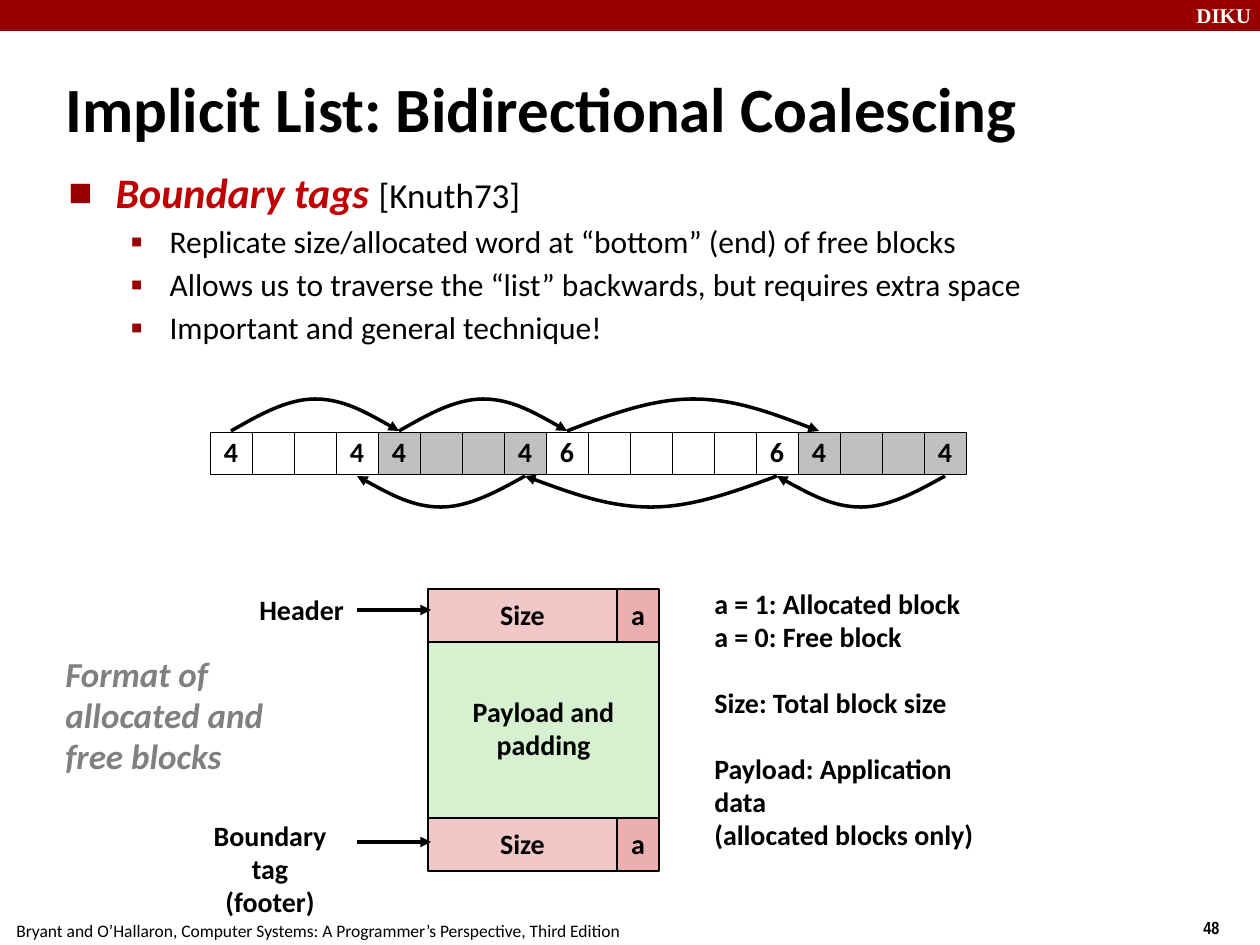
from lxml import etree
from pptx import Presentation
from pptx.dml.color import RGBColor
from pptx.enum.shapes import MSO_CONNECTOR, MSO_SHAPE
from pptx.enum.text import MSO_ANCHOR, MSO_AUTO_SIZE, PP_ALIGN
from pptx.oxml.ns import qn
from pptx.util import Pt

SCALE = 914400 / 126
STRAIGHT = MSO_CONNECTOR.STRAIGHT
RECTANGLE = MSO_SHAPE.RECTANGLE
MIDDLE, TOP = MSO_ANCHOR.MIDDLE, MSO_ANCHOR.TOP
NO_FIT = MSO_AUTO_SIZE.NONE
LEFT, CENTER = PP_ALIGN.LEFT, PP_ALIGN.CENTER

BLACK = RGBColor(0x00, 0x00, 0x00)
WHITE = RGBColor(0xFF, 0xFF, 0xFF)
DARK_RED = RGBColor(0x99, 0x00, 0x00)
TERM_RED = RGBColor(0xC0, 0x00, 0x00)
GRAY = RGBColor(0x80, 0x80, 0x80)
CELL_GRAY = RGBColor(0xC0, 0xC0, 0xC0)
SIZE_PINK = RGBColor(0xF1, 0xC7, 0xC7)
FLAG_PINK = RGBColor(0xEB, 0xAF, 0xAF)
PAYLOAD_GREEN = RGBColor(0xD5, 0xF1, 0xCF)

CELL = 42


def px(length):
    return round(length * SCALE)


def format_run(run, size, color=BLACK, bold=True, italic=False, font="Calibri"):
    run.font.name = font
    run.font.size = Pt(size)
    run.font.bold = bold
    run.font.italic = italic
    run.font.color.rgb = color


def write(shape, text, size=16, align=LEFT, spacing=0.98, **style):
    shape.text_frame.text = text
    for paragraph in shape.text_frame.paragraphs:
        paragraph.alignment = align
        paragraph.line_spacing = spacing
        for run in paragraph.runs:
            format_run(run, size, **style)


def add_label(slide, box, text, **style):
    label = slide.shapes.add_textbox(*map(px, box))
    label.text_frame.word_wrap = False
    write(label, text, **style)
    return label


def add_box(slide, box, fill, text="", line_width=1):
    shape = slide.shapes.add_shape(RECTANGLE, *map(px, box))
    shape.shadow.inherit = False
    shape.fill.solid()
    shape.fill.fore_color.rgb = fill
    if line_width:
        shape.line.color.rgb = BLACK
        shape.line.width = Pt(line_width)
    else:
        shape.line.fill.background()
    if text:
        shape.text_frame.word_wrap = False
        shape.text_frame.vertical_anchor = MIDDLE
        write(shape, text, align=CENTER)


def make_arrow(shape):
    shape.line.color.rgb = BLACK
    shape.line.width = Pt(2)
    line = shape.line._get_or_add_ln()
    etree.SubElement(line, qn("a:tailEnd"), type="triangle")


def add_pointer(slide, left, right, y):
    pointer = slide.shapes.add_connector(STRAIGHT, px(left), px(y), px(right), px(y))
    make_arrow(pointer)
    etree.SubElement(pointer._element.spPr, qn("a:effectLst"))


def add_arc(slide, start, end, base, peak):
    """Draw two Bezier halves that meet at the peak."""
    half_height = (base + peak) / 2
    heights = [half_height, peak, peak, peak, half_height, base]
    points = [(px(start + (end - start) * step / 6), px(y))
              for step, y in enumerate(heights, 1)]
    builder = slide.shapes.build_freeform(px(start), px(base))
    builder.add_line_segments(points, close=False)
    arc = builder.convert_to_shape()
    arc.shadow.inherit = False
    arc.fill.background()
    make_arrow(arc)
    # Each three line points become one cubic curve
    segments = list(arc._element.iter(qn("a:lnTo")))
    outline = segments[0].getparent()
    for first in (0, 3):
        curve = etree.SubElement(outline, qn("a:cubicBezTo"))
        for segment in segments[first:first + 3]:
            curve.append(segment[0])
            outline.remove(segment)


def set_bullet(paragraph, character, percent, margin, indent):
    properties = paragraph._p.get_or_add_pPr()
    properties.set("marL", str(px(margin)))
    properties.set("indent", str(px(-indent)))
    color = etree.SubElement(properties, qn("a:buClr"))
    etree.SubElement(color, qn("a:srgbClr"), val=str(DARK_RED))
    etree.SubElement(properties, qn("a:buSzPct"), val=str(percent * 1000))
    etree.SubElement(properties, qn("a:buFont"), typeface="Calibri")
    etree.SubElement(properties, qn("a:buChar"), char=character)


def place(placeholder, box, anchor):
    placeholder.left, placeholder.top, placeholder.width, placeholder.height = map(px, box)
    placeholder.text_frame.auto_size = NO_FIT
    placeholder.text_frame.vertical_anchor = anchor


def add_frame(slide, width, height):
    # Top band, page number and source line
    add_box(slide, (0, 0, width, 31), DARK_RED, line_width=0)
    add_label(slide, (width - 76, -4, 84, 38), "DIKU", size=12, color=WHITE,
              font="Times New Roman", spacing=1)
    add_label(slide, (width - 69, height - 34, 94, 36), "48", size=10,
              font="Arial Narrow", spacing=1)
    add_label(slide, (4, height - 31, 629, 34),
              "Bryant and O’Hallaron, Computer Systems: "
              "A Programmer’s Perspective, Third Edition",
              size=10, bold=False, spacing=1)


def fill_title(title, box):
    place(title, box, MIDDLE)
    write(title, "Implicit List: Bidirectional Coalescing", size=36, spacing=1)


def fill_body(body, box):
    place(body, box, TOP)
    frame = body.text_frame
    heading = frame.paragraphs[0]
    heading.line_spacing = 0.83
    heading.space_before = Pt(12.5)
    term, citation = heading.add_run(), heading.add_run()
    term.text, citation.text = "Boundary tags ", "[Knuth73]"
    format_run(term, 24, TERM_RED, italic=True)
    format_run(citation, 20, bold=False)
    set_bullet(heading, "■", 60, 48, 47)
    for text in ("Replicate size/allocated word at “bottom” (end) of free blocks",
                 "Allows us to traverse the “list” backwards, but requires extra space",
                 "Important and general technique!"):
        paragraph = frame.add_paragraph()
        paragraph.text = text
        paragraph.level = 1
        paragraph.line_spacing = 0.88
        paragraph.space_before = Pt(5.6)
        format_run(paragraph.runs[0], 18, bold=False)
        set_bullet(paragraph, "▪", 110, 102, 39)


def add_heap(slide, left, top):
    # Each block shows its size in its first and last word
    blocks = [(4, WHITE), (4, CELL_GRAY), (6, WHITE), (4, CELL_GRAY)]
    headers, footers = [], []
    x = left
    for size, fill in blocks:
        for word in range(size):
            text = str(size) if word in (0, size - 1) else ""
            add_box(slide, (x + word * CELL, top, CELL, CELL), fill, text, 0.25)
        headers.append(x + CELL / 2)
        x += size * CELL
        footers.append(x - CELL / 2)
    # Forward links above, backward links below
    for start, end in zip(headers, headers[1:]):
        add_arc(slide, start, end, top - 1, top - 33)
    for end, start in zip(footers, footers[1:]):
        add_arc(slide, start, end, top + CELL + 2, top + CELL + 33)


def add_block_format(slide, left, top):
    size_width, tag_height, payload_height = 189, 53, 177
    footer_top = top + 229
    add_box(slide, (left, top + 52, size_width + CELL, payload_height),
            PAYLOAD_GREEN, "Payload and\npadding")
    for tag_top in (top, footer_top):
        add_box(slide, (left, tag_top, size_width, tag_height), SIZE_PINK, "Size")
        add_box(slide, (left + size_width, tag_top, CELL, tag_height), FLAG_PINK, "a")
    # Captions and pointers
    add_label(slide, (left - 181, top - 1, 110, 47), "Header")
    add_label(slide, (left - 248, top + 225, 180, 79), "Boundary tag\n(footer)",
              align=CENTER)
    for y in (top + 21, top + 253):
        add_pointer(slide, left - 71, left + 3, y)
    add_label(slide, (left - 375, top + 59, 223, 137),
              "Format of\nallocated and\nfree blocks", size=20, color=GRAY, italic=True)


def add_legend(slide, box):
    legend = add_label(slide, box,
                       "a = 1: Allocated block\na = 0: Free block\n"
                       "Size: Total block size\n"
                       "Payload: Application data\n(allocated blocks only)")
    for index in (2, 3):
        legend.text_frame.paragraphs[index].space_before = Pt(19)


presentation = Presentation()
presentation.slide_width, presentation.slide_height = px(1260), px(945)
slide = presentation.slides.add_slide(presentation.slide_layouts[1])
add_frame(slide, 1260, 945)
fill_title(slide.shapes.title, (53, 68, 1207, 79))
fill_body(slide.placeholders[1], (55, 169, 1144, 183))
add_heap(slide, 210, 432)
add_block_format(slide, 428, 589)
add_legend(slide, (702, 582, 320, 276))
presentation.save("out.pptx")
